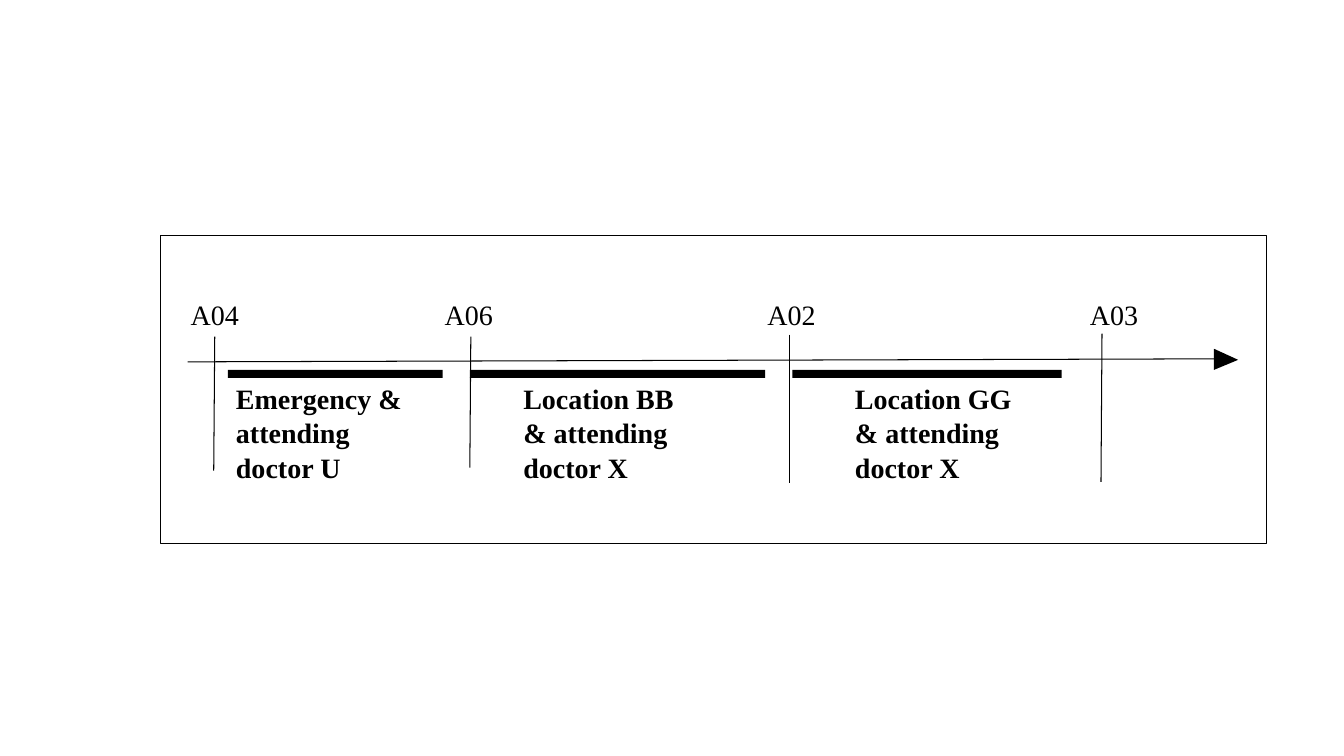
"""Draw a timeline of patient events with the location and doctor between them."""
from pptx import Presentation
from pptx.dml.color import RGBColor
from pptx.enum.shapes import MSO_CONNECTOR, MSO_SHAPE
from pptx.enum.text import MSO_AUTO_SIZE
from pptx.oxml.xmlchemy import OxmlElement
from pptx.util import Inches, Pt

BLACK = "000000"


def paint(target, color):
    if hasattr(target, "solid"):
        target.solid()
        target.fore_color.rgb = RGBColor.from_string(color)
    else:
        target.rgb = RGBColor.from_string(color)


def write(left, top, width, lines, bold):
    box = slide.shapes.add_textbox(
        Inches(left), Inches(top), Inches(width), Inches(0.34 * len(lines)))
    frame = box.text_frame
    frame.margin_left = frame.margin_right = 0
    frame.margin_top = frame.margin_bottom = 0
    frame.word_wrap = False
    frame.auto_size = MSO_AUTO_SIZE.SHAPE_TO_FIT_TEXT
    for row, line in enumerate(lines):
        para = frame.add_paragraph() if row else frame.paragraphs[0]
        para.space_after = Pt(0.7)
        run = para.add_run()
        run.text = line
        run.font.name = "Times New Roman"
        run.font.size = Pt(20)
        run.font.bold = bold
        paint(run.font.color, BLACK)


deck = Presentation()
deck.slide_width = Inches(13.33)
deck.slide_height = Inches(7.5)
slide = deck.slides.add_slide(deck.slide_layouts[6])

panel = slide.shapes.add_shape(
    MSO_SHAPE.RECTANGLE, Inches(1.59), Inches(2.34), Inches(10.97), Inches(3.05))
panel.shadow.inherit = False
panel.fill.background()
paint(panel.line.fill, BLACK)
panel.line.width = Pt(0.75)

axis = (1.86, 3.59, 12.06, 3.56)
ticks = [
    (2.13, 3.34, 2.12, 4.67),
    (4.67, 3.34, 4.66, 4.64),
    (7.83, 3.32, 7.83, 4.79),
    (10.93, 3.31, 10.92, 4.78),
]
for ends in [axis] + ticks:
    line = slide.shapes.add_connector(
        MSO_CONNECTOR.STRAIGHT, *[Inches(value) for value in ends])
    paint(line.line.fill, BLACK)
    line.line.width = Pt(0.75)
    line._element.spPr.append(OxmlElement("a:effectLst"))

outline = slide.shapes.build_freeform(Inches(12.04), Inches(3.67))
outline.add_line_segments(
    [(Inches(12.28), Inches(3.57)), (Inches(12.04), Inches(3.46))], close=True)
arrow = outline.convert_to_shape()
arrow.shadow.inherit = False
paint(arrow.fill, BLACK)
arrow.line.fill.background()

for event, left in [("A04", 1.89), ("A06", 4.41), ("A02", 7.61), ("A03", 10.81)]:
    write(left, 2.95, 0.48, [event], False)

stays = [
    (2.26, 2.13, 2.34, 1.73, ["Emergency &", "attending", "doctor U"]),
    (4.66, 2.93, 5.19, 1.57, ["Location BB", "& attending", "doctor X"]),
    (7.86, 2.67, 8.48, 1.64, ["Location GG", "& attending", "doctor X"]),
]
for start, length, left, width, lines in stays:
    bar = slide.shapes.add_shape(
        MSO_SHAPE.RECTANGLE, Inches(start), Inches(3.67), Inches(length), Inches(0.08))
    bar.shadow.inherit = False
    paint(bar.fill, BLACK)
    bar.line.fill.background()
    write(left, 3.78, width, lines, True)

deck.save("out.pptx")
